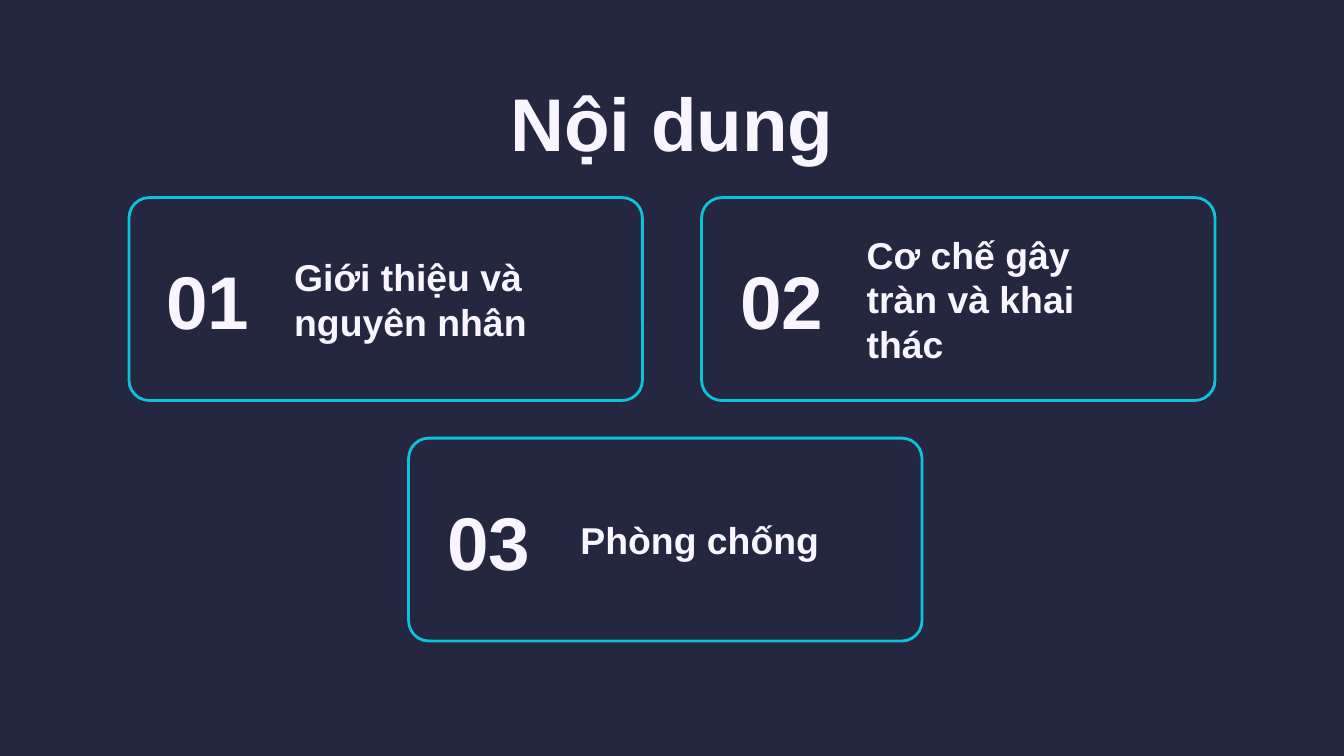
import pptx
import pptx.util
import pptx.dml.color
import pptx.enum.shapes
import pptx.enum.text

Inches = pptx.util.Inches
RGBColor = pptx.dml.color.RGBColor
ALIGN = pptx.enum.text.PP_ALIGN

NAVY = RGBColor(0x25, 0x26, 0x40)
CYAN = RGBColor(0x0B, 0xC4, 0xD9)
PALE = RGBColor(0xF8, 0xF5, 0xFF)

CARD_W, CARD_H = 3.82, 1.51

# number, topic, card left, card top, number offset, topic offset, topic width
CARDS = [
    ("01", "Giới thiệu và nguyên nhân", 0.96, 1.47, 0.16, 1.13, 2.18),
    ("02", "Cơ chế gây tràn và khai thác", 5.22, 1.47, 0.17, 1.13, 2.27),
    ("03", "Phòng chống", 3.04, 3.26, 0.17, 1.18, 2.18),
]


def style_text(shape, text, size, align):
    frame = shape.text_frame
    frame.text = text
    frame.word_wrap = True
    frame.auto_size = pptx.enum.text.MSO_AUTO_SIZE.NONE
    frame.vertical_anchor = pptx.enum.text.MSO_ANCHOR.MIDDLE
    frame.margin_left = frame.margin_right = Inches(0.1)
    frame.margin_top = frame.margin_bottom = Inches(0.1)
    para = frame.paragraphs[0]
    para.alignment = align
    font = para.runs[0].font
    font.name = "Arial"
    font.size = pptx.util.Pt(size)
    font.bold = True
    font.color.rgb = PALE


def set_title(slide, text):
    title = slide.shapes.title
    title.left, title.top = Inches(0.78), Inches(0.59)
    title.width, title.height = Inches(8.44), Inches(0.63)
    style_text(title, text, 40, ALIGN.CENTER)


def add_label(slide, text, left, top, width, height, size, align):
    box = slide.shapes.add_textbox(
        Inches(left), Inches(top), Inches(width), Inches(height))
    style_text(box, text, size, align)


def add_card(slide, number, topic, left, top, inset, offset, width):
    """Draw a rounded frame with its number and topic."""
    card = slide.shapes.add_shape(
        pptx.enum.shapes.MSO_SHAPE.ROUNDED_RECTANGLE,
        Inches(left), Inches(top), Inches(CARD_W), Inches(CARD_H))
    card.adjustments[0] = 0.1
    card.shadow.inherit = False
    card.fill.background()
    card.line.color.rgb = CYAN
    card.line.width = pptx.util.Pt(1.5)
    add_label(slide, number, left + inset, top + 0.53, 0.85, 0.46,
              40, ALIGN.CENTER)
    add_label(slide, topic, left + offset, top + 0.44, width, 0.63,
              20, ALIGN.LEFT)


def main():
    deck = pptx.Presentation()
    deck.slide_width = Inches(10)
    deck.slide_height = deck.slide_width * 9 // 16
    slide = deck.slides.add_slide(deck.slide_layouts[5])
    slide.background.fill.solid()
    slide.background.fill.fore_color.rgb = NAVY
    set_title(slide, "Nội dung")
    for card in CARDS:
        add_card(slide, *card)
    deck.save("out.pptx")


if __name__ == "__main__":
    main()
